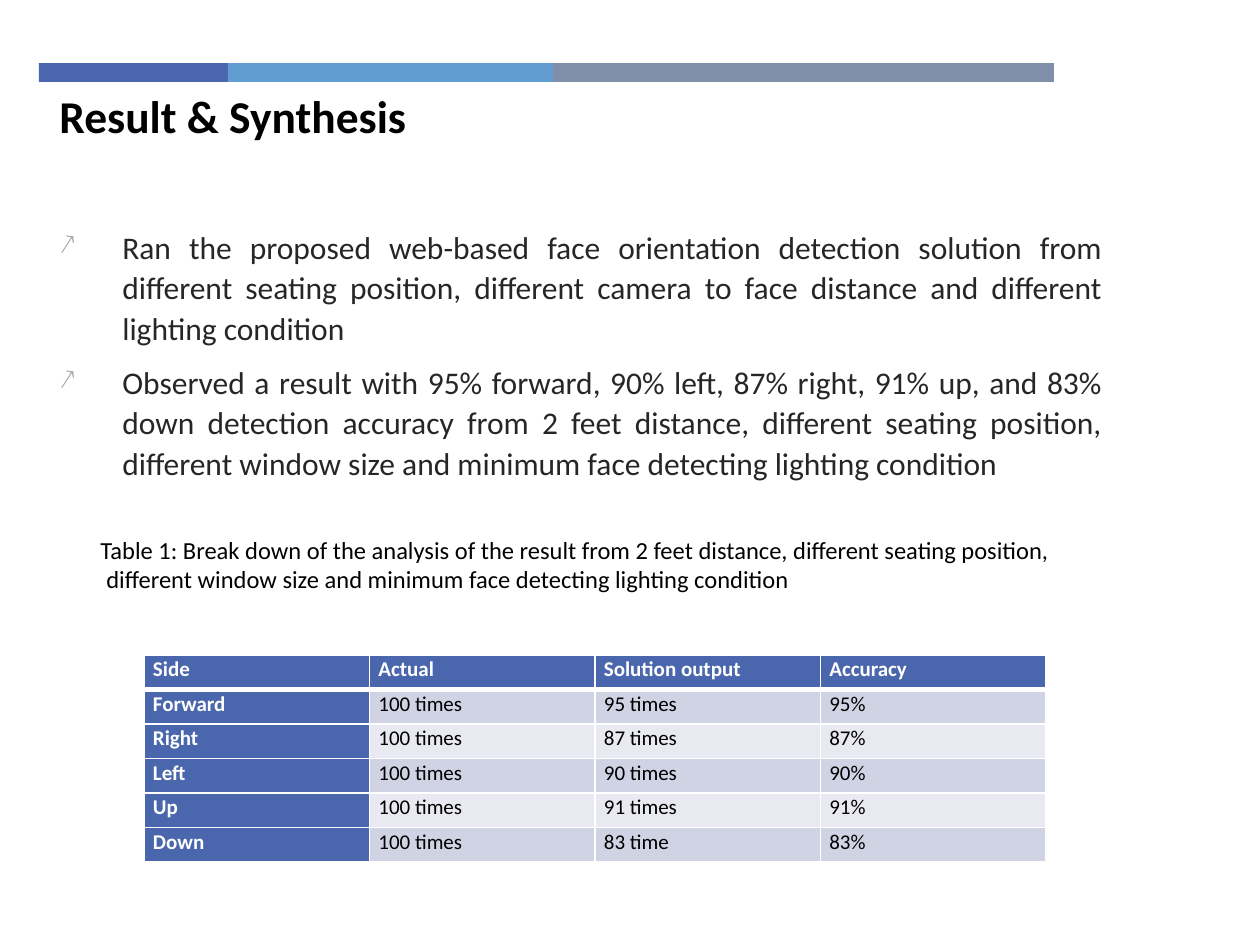
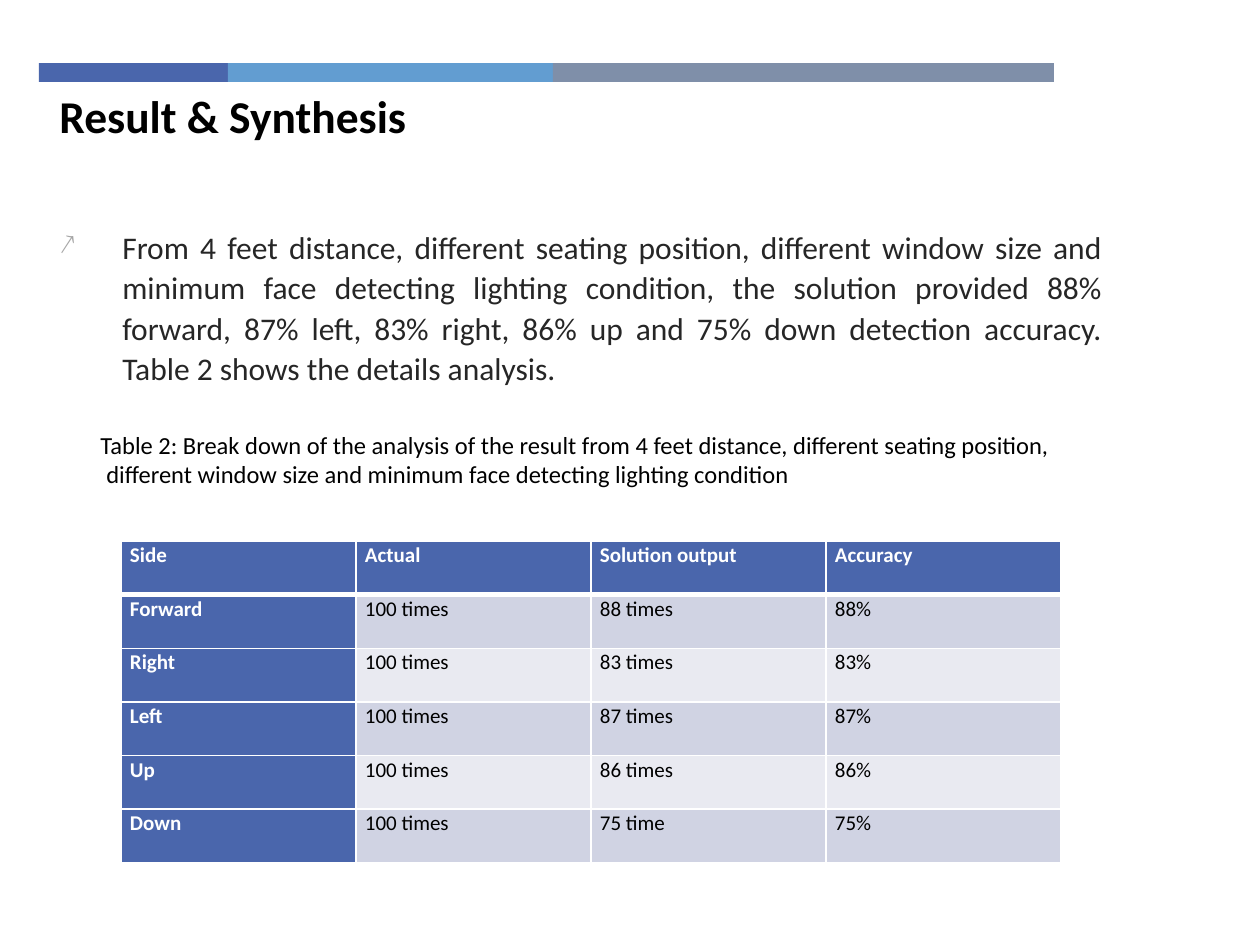
from lxml.etree import SubElement
from pptx import Presentation
from pptx.dml.color import RGBColor
from pptx.enum.shapes import MSO_SHAPE as Shape
from pptx.enum.text import MSO_ANCHOR as Anchor, MSO_AUTO_SIZE as AutoSize, PP_ALIGN as Align
from pptx.oxml.ns import qn
from pptx.util import Pt

EMU_PER_PX = 914400 / 126
FONT = "Calibri"
COLORS = {
    "indigo": "4A66AC",
    "sky": "629DD1",
    "slate": "7F8FA9",
    "body": "262626",
    "bullet": "A6A6A6",
    "black": "000000",
    "white": "FFFFFF",
    "odd_row": "D0D3E3",
    "even_row": "E9EAF1",
}
BAND_SEGMENTS = [("indigo", 189), ("sky", 325), ("slate", 501)]
HEADINGS = ["Side", "Actual", "Solution output", "Accuracy"]

RESULTS = [
    {
        "findings": [
            "Ran the proposed web-based face orientation detection solution from "
            "different seating position, different camera to face distance and "
            "different lighting condition",
            "Observed a result with 95% forward, 90% left, 87% right, 91% up, and 83% "
            "down detection accuracy from 2 feet distance, different seating position, "
            "different window size and minimum face detecting lighting condition",
        ],
        "number": 1,
        "feet": 2,
        "caption_box": (88, 528, 984, 72),
        "table_box": (144, 655, 902, 207),
        "hits": {"Forward": 95, "Right": 87, "Left": 90, "Up": 91, "Down": 83},
    },
    {
        "findings": [
            "From 4 feet distance, different seating position, different window size and "
            "minimum face detecting lighting condition, the solution provided 88% "
            "forward, 87% left, 83% right, 86% up and 75% down detection accuracy. "
            "Table 2 shows the details analysis.",
        ],
        "number": 2,
        "feet": 4,
        "caption_box": (88, 423, 984, 72),
        "table_box": (121, 541, 940, 322),
        "hits": {"Forward": 88, "Right": 83, "Left": 87, "Up": 86, "Down": 75},
    },
]


def px(length):
    return round(length * EMU_PER_PX)


def rgb(color):
    return RGBColor.from_string(COLORS[color])


def add_run(paragraph, text, size, color, bold=False):
    run = paragraph.add_run()
    run.text = text
    run.font.name = FONT
    run.font.size = Pt(size)
    run.font.bold = bold
    run.font.color.rgb = rgb(color)


def add_text_frame(slide, box, wrap=True):
    frame = slide.shapes.add_textbox(*map(px, box)).text_frame
    frame.word_wrap = wrap
    return frame


def next_paragraph(frame, index):
    return frame.add_paragraph() if index else frame.paragraphs[0]


def add_band(slide, box):
    left, top, height = box
    for color, width in BAND_SEGMENTS:
        segment = slide.shapes.add_shape(
            Shape.RECTANGLE, px(left), px(top), px(width), px(height))
        segment.shadow.inherit = False
        segment.fill.solid()
        segment.fill.fore_color.rgb = rgb(color)
        segment.line.fill.background()
        left += width


def add_title(slide, box):
    frame = add_text_frame(slide, box)
    add_run(frame.paragraphs[0], "Result & Synthesis", 26, "black", True)


def set_arrow_bullet(paragraph, indent):
    properties = paragraph._p.get_or_add_pPr()
    properties.set("marL", str(px(indent)))
    properties.set("indent", str(-px(indent)))
    bullet_color = SubElement(properties, qn("a:buClr"))
    SubElement(bullet_color, qn("a:srgbClr"), val=COLORS["bullet"])
    SubElement(properties, qn("a:buSzPct"), val="90000")
    SubElement(properties, qn("a:buChar"), char="↗")


def add_findings(slide, box, findings):
    frame = add_text_frame(slide, box)
    for index, finding in enumerate(findings):
        paragraph = next_paragraph(frame, index)
        set_arrow_bullet(paragraph, 63)
        paragraph.alignment = Align.JUSTIFY
        paragraph.line_spacing = 1.07
        paragraph.space_after = Pt(8)
        add_run(paragraph, finding, 18, "body")


def add_caption(slide, box, number, feet):
    frame = add_text_frame(slide, box, wrap=False)
    frame.auto_size = AutoSize.SHAPE_TO_FIT_TEXT
    frame.vertical_anchor = Anchor.MIDDLE
    lines = [
        (f"Table {number}: Break down of the analysis of the result from {feet} feet "
         "distance, different seating position,", 0),
        ("different window size and minimum face detecting lighting condition", 6),
    ]
    for index, (line, indent) in enumerate(lines):
        paragraph = next_paragraph(frame, index)
        paragraph.alignment = Align.JUSTIFY
        paragraph._p.get_or_add_pPr().set("marL", str(px(indent)))
        add_run(paragraph, line, 14, "black")


def set_borders(cell, top, bottom):
    properties = cell._tc.get_or_add_tcPr()
    for side, width in (("L", 1), ("R", 1), ("T", top), ("B", bottom)):
        border = SubElement(properties, qn(f"a:ln{side}"), w=str(Pt(width)))
        fill = SubElement(border, qn("a:solidFill"))
        SubElement(fill, qn("a:srgbClr"), val=COLORS["white"])


def fill_cell(cell, text, row, column):
    heading = row == 0 or column == 0
    set_borders(cell, top=3 if row == 1 else 1, bottom=3 if row == 0 else 1)
    cell.fill.solid()
    banding = "odd_row" if row % 2 else "even_row"
    cell.fill.fore_color.rgb = rgb("indigo" if heading else banding)
    cell.margin_left = cell.margin_right = px(9)
    cell.margin_top = cell.margin_bottom = 0
    paragraph = cell.text_frame.paragraphs[0]
    paragraph.alignment = Align.JUSTIFY
    paragraph.line_spacing = 1.07
    add_run(paragraph, text, 12, "white" if heading else "black", heading)


def add_accuracy_table(slide, box, hits):
    rows = [HEADINGS]
    for side, count in hits.items():
        unit = "time" if side == "Down" else "times"
        rows.append([side, "100 times", f"{count} {unit}", f"{count}%"])
    table = slide.shapes.add_table(len(rows), len(HEADINGS), *map(px, box)).table
    table.first_row = table.horz_banding = False
    for row, texts in enumerate(rows):
        for column, text in enumerate(texts):
            fill_cell(table.cell(row, column), text, row, column)


def add_result_slide(deck, result):
    slide = deck.slides.add_slide(deck.slide_layouts[6])
    add_band(slide, (39, 63, 19))
    add_findings(slide, (47, 219, 1068, 690), result["findings"])
    add_title(slide, (47, 82, 446, 68))
    add_caption(slide, result["caption_box"], result["number"], result["feet"])
    add_accuracy_table(slide, result["table_box"], result["hits"])


def main():
    deck = Presentation()
    deck.slide_width, deck.slide_height = px(1260), px(945)
    for result in RESULTS:
        add_result_slide(deck, result)
    deck.save("out.pptx")


if __name__ == "__main__":
    main()
